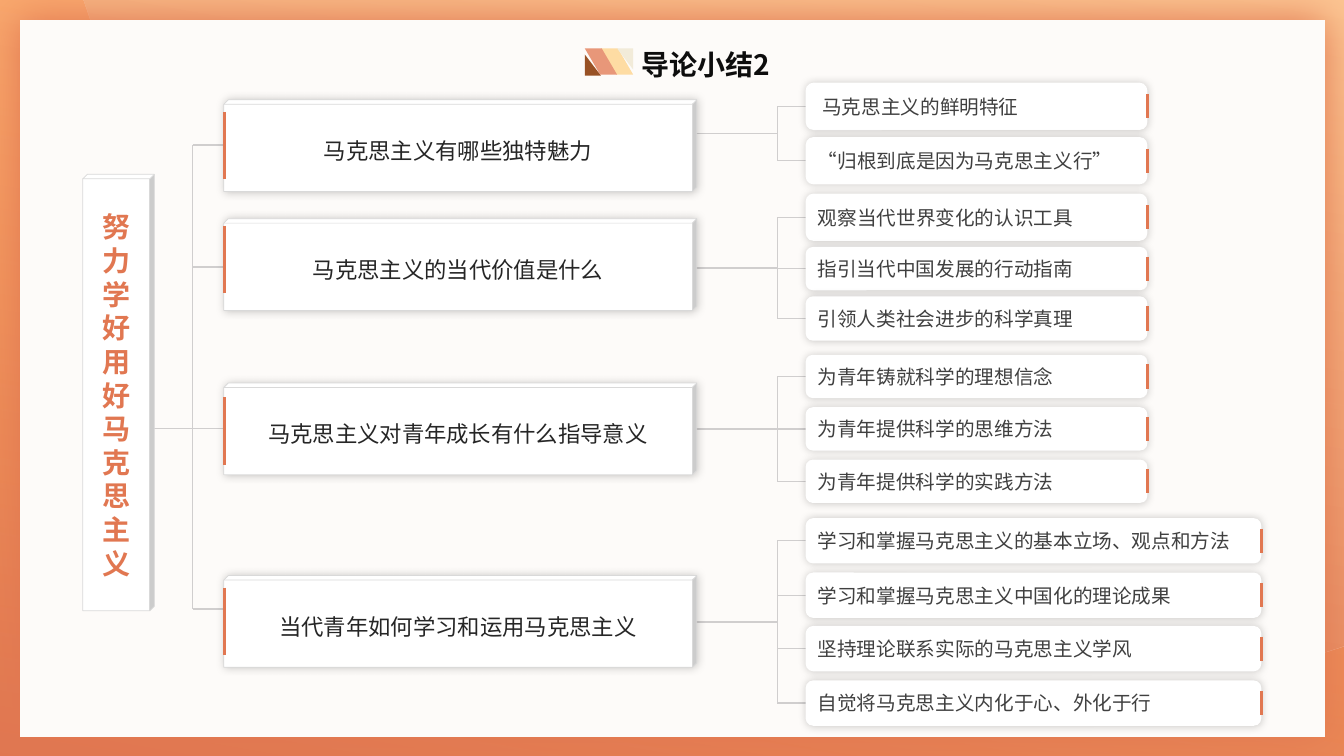
from lxml import etree
from pptx import Presentation
from pptx import util as u
from pptx.dml.color import RGBColor
from pptx.enum import shapes, text
from pptx.oxml import ns

FONT = "Noto Sans CJK SC"
WHITE = RGBColor(0xFF, 0xFF, 0xFF)
PAPER = RGBColor(0xFD, 0xFB, 0xF9)
CORAL = RGBColor(0xE1, 0x77, 0x51)
ORANGE = RGBColor(0xFD, 0x72, 0x01)
PEACH = RGBColor(0xFD, 0xD5, 0xA6)
SAND = RGBColor(0xFE, 0xDC, 0xA3)
CREAM = RGBColor(0xF2, 0xEB, 0xD9)
SALMON = RGBColor(0xE8, 0x97, 0x79)
BROWN = RGBColor(0x98, 0x51, 0x25)
BRANCH_GREY = RGBColor(0xD0, 0xCE, 0xCE)
EDGE_GREY = RGBColor(0xD9, 0xD9, 0xD9)
BLACK = RGBColor(0, 0, 0)
TITLE_INK = RGBColor(0x0D, 0x0D, 0x0D)
TOPIC_INK = RGBColor(0x26, 0x26, 0x26)
LEAF_INK = RGBColor(0x40, 0x40, 0x40)

TITLE_FONT = {"size": u.Pt(20), "bold": True}
TOPIC_FONT = {"size": u.Pt(16), "bold": False}
LEAF_FONT = {"size": u.Pt(14), "bold": False}
CENTRED = {"alignment": text.PP_ALIGN.CENTER}
LEFT = {"alignment": text.PP_ALIGN.LEFT}
SOFT_SHADOW = (BLACK, 20, 6)  # colour, opacity in percent, blur in points

# The grid: cells a tenth of an inch wide and high
CELL = u.Inches(0.1)
COLUMNS, ROWS = 133.33, 75
ROOT_SPINE, LEAF_SPINE, LEAF_LEFT = 19.1, 77.1, 79.9
TOPIC_LEFT, TOPIC_WIDTH, TOPIC_HEIGHT = 22.2, 46.9, 9.1

ROOT = "努力学好用好马克思主义"
# Topic, its row, its accent's row, its branch's row, leaf width, leaves (row, height, text)
TOPICS = [
    ("马克思主义有哪些独特魅力", 9.9, 11.1, 14.4, 33.9, [
        (8.2, 4.7, " 马克思主义的鲜明特征"),
        (13.6, 4.7, "“归根到底是因为马克思主义行”")]),
    ("马克思主义的当代价值是什么", 21.7, 22.4, 26.5, 33.9, [
        (19.2, 4.7, "观察当代世界变化的认识工具"),
        (24.5, 4.3, "指引当代中国发展的行动指南"),
        (29.4, 4.4, "引领人类社会进步的科学真理")]),
    ("马克思主义对青年成长有什么指导意义", 38, 39.4, 42.5, 33.9, [
        (35.2, 4.3, "为青年铸就科学的理想信念"),
        (40.4, 4.3, "为青年提供科学的思维方法"),
        (45.6, 4.3, "为青年提供科学的实践方法")]),
    ("当代青年如何学习和运用马克思主义", 57.1, 58.3, 60.4, 45.2, [
        (51.4, 4.5, "学习和掌握马克思主义的基本立场、观点和方法"),
        (56.8, 4.5, "学习和掌握马克思主义中国化的理论成果"),
        (62.1, 4.5, "坚持理论联系实际的马克思主义学风"),
        (67.5, 4.5, "自觉将马克思主义内化于心、外化于行")]),
]


def cells(*values):
    return [round(value * CELL) for value in values]


def apply(target, values):
    for name, value in values.items():
        setattr(target, name, value)


def add_element(parent, tag, **attributes):
    return etree.SubElement(parent, ns.qn(tag), attributes)


class MindMap:
    def __init__(self, presentation):
        self.slide = presentation.slides.add_slide(presentation.slide_layouts[5])

    def fill_text(self, frame, lines, font, colour, paragraph_format):
        for index, line in enumerate(lines):
            paragraph = frame.add_paragraph() if index else frame.paragraphs[0]
            apply(paragraph, paragraph_format)
            run = paragraph.add_run()
            run.text = line
            apply(run.font, {"name": FONT, **font})
            run.font.color.rgb = colour
            add_element(run.font._element, "a:ea", typeface=FONT)

    def title(self, line, left, top, width, height):
        title = self.slide.shapes.title
        apply(title, dict(zip(("left", "top", "width", "height"),
                              cells(left, top, width, height))))
        apply(title.text_frame, {"word_wrap": True, "vertical_anchor": text.MSO_ANCHOR.TOP,
                                 "auto_size": text.MSO_AUTO_SIZE.NONE})
        self.fill_text(title.text_frame, [line], TITLE_FONT, TITLE_INK,
                       {**LEFT, "line_spacing": u.Pt(26)})
        self.slide.shapes._spTree.append(title._element)  # in front of the backdrop

    def shape(self, kind, left, top, width, height, fill,
              edge=None, shadow=None, adjustment=None):
        shape = self.slide.shapes.add_shape(kind, *cells(left, top, width, height))
        shape.fill.solid()
        shape.fill.fore_color.rgb = fill
        if edge is None:
            shape.line.fill.background()
        else:
            shape.line.color.rgb = edge
            shape.line.width = u.Pt(0.5)
        if adjustment is not None:
            shape.adjustments[0] = adjustment
        shape.shadow.inherit = False
        if shadow:
            colour, opacity, blur = shadow
            effects = shape._element.spPr.find(ns.qn("a:effectLst"))
            outer = add_element(effects, "a:outerShdw", blurRad=str(u.Pt(blur)),
                                dist="0", dir="18900000", algn="ctr", rotWithShape="0")
            tint = add_element(outer, "a:srgbClr", val=str(colour))
            add_element(tint, "a:alpha", val=str(opacity * 1000))
        return shape

    def label(self, shape, lines, font, colour, paragraph_format):
        apply(shape.text_frame, {"word_wrap": True, "vertical_anchor": text.MSO_ANCHOR.MIDDLE})
        self.fill_text(shape.text_frame, lines, font, colour, paragraph_format)

    def outline(self, points, start, end):
        """A polygon that fades upwards from start to a half-transparent end."""
        points = [tuple(cells(*point)) for point in points]
        builder = self.slide.shapes.build_freeform(*points[0])
        builder.add_line_segments(points[1:], close=True)
        shape = builder.convert_to_shape()
        shape.fill.gradient()
        shape.fill.gradient_angle = 80
        for stop, colour in zip(shape.fill.gradient_stops, (start, end)):
            stop.color.rgb = colour
        add_element(shape._element.xpath(".//a:gs/a:srgbClr")[-1], "a:alpha", val="50000")
        shape.line.fill.background()
        shape.shadow.inherit = False

    def line(self, left, top, right, bottom, colour=BRANCH_GREY, width=1):
        connector = self.slide.shapes.add_connector(
            shapes.MSO_CONNECTOR.STRAIGHT, *cells(left, top, right, bottom))
        connector.line.color.rgb = colour
        connector.line.width = u.Pt(width)
        add_element(connector._element.spPr, "a:effectLst")

    def accent(self, column, top, length):
        self.line(column, top, column, top + length, CORAL, 2)


def main():
    presentation = Presentation()
    apply(presentation, {"slide_width": u.Inches(13.33), "slide_height": u.Inches(7.5)})
    page = MindMap(presentation)
    kinds = shapes.MSO_SHAPE

    # Backdrop
    page.outline([(0, 0), (COLUMNS, 0), (COLUMNS, ROWS), (0, ROWS)], CORAL, ORANGE)
    page.outline([(8.3, 0), (COLUMNS, 0), (COLUMNS, 64), (131.5, 64.6), (102.2, 69),
                  (59, 57.5), (27, 32), (9.8, 4.4)], CORAL, PEACH)
    page.shape(kinds.RECTANGLE, 2, 2, 129.4, 71.1, PAPER, shadow=(CORAL, 100, 30))

    # Title and its ribbon
    page.title("导论小结2", 62.6, 3.9, 22.1, 7.7)
    for left, band, corner_left, corner_top, corner, turn in (
            (59.6, SAND, 61.2, 4.8, CREAM, 180), (58, SALMON, 58, 5.4, BROWN, 0)):
        ribbon = page.shape(kinds.PARALLELOGRAM, left, 4.8, 3.2, 2.6, band, adjustment=0.585)
        ribbon._element.spPr.xfrm.set("flipH", "1")
        page.shape(kinds.RIGHT_TRIANGLE, corner_left, corner_top, 1.6, 2.1, corner).rotation = turn

    # Branches
    page.line(14.8, 42.5, ROOT_SPINE, 42.5)
    page.line(ROOT_SPINE, TOPICS[0][3], ROOT_SPINE, TOPICS[-1][3])
    for _, _, _, branch, _, leaves in TOPICS:
        page.line(ROOT_SPINE, branch, TOPIC_LEFT, branch)
        centres = [top + height / 2 for top, height, _ in leaves]
        stem = (centres[0] + centres[-1]) / 2
        page.line(68.3, stem, LEAF_SPINE, stem)
        page.line(LEAF_SPINE, centres[0], LEAF_SPINE, centres[-1])
        for centre in centres:
            page.line(LEAF_SPINE, centre, 80.2, centre)

    # Root
    root = page.shape(kinds.CUBE, 8.2, 17.3, 7.1, 43.3, WHITE, EDGE_GREY, adjustment=0.063)
    page.label(root, ROOT, TITLE_FONT, CORAL, {**CENTRED, "line_spacing": u.Pt(24)})

    # Topics and leaves
    for name, top, accent_top, _, leaf_width, leaves in TOPICS:
        topic = page.shape(kinds.CUBE, TOPIC_LEFT, top, TOPIC_WIDTH, TOPIC_HEIGHT,
                           WHITE, EDGE_GREY, SOFT_SHADOW, 0.048)
        page.label(topic, [name], TOPIC_FONT, TOPIC_INK, {**CENTRED, "line_spacing": 1.2})
        page.accent(22.3, accent_top, 6.7)
        for leaf_top, height, line in leaves:
            leaf = page.shape(kinds.ROUNDED_RECTANGLE, LEAF_LEFT, leaf_top, leaf_width, height,
                              WHITE, shadow=SOFT_SHADOW)
            page.label(leaf, [line], LEAF_FONT, LEAF_INK, LEFT)
            page.accent(LEAF_LEFT + leaf_width, leaf_top + height / 2 - 1.2, 2.4)

    presentation.save("out.pptx")


if __name__ == "__main__":
    main()
